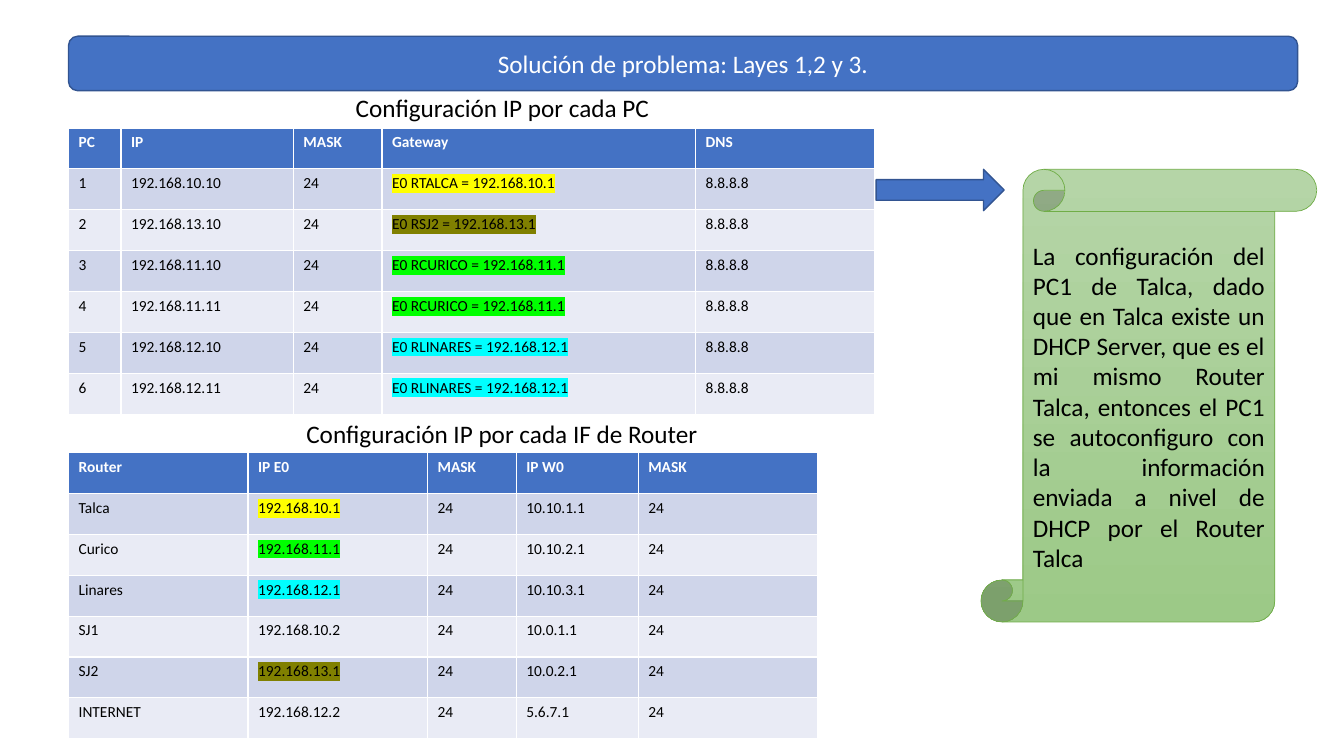
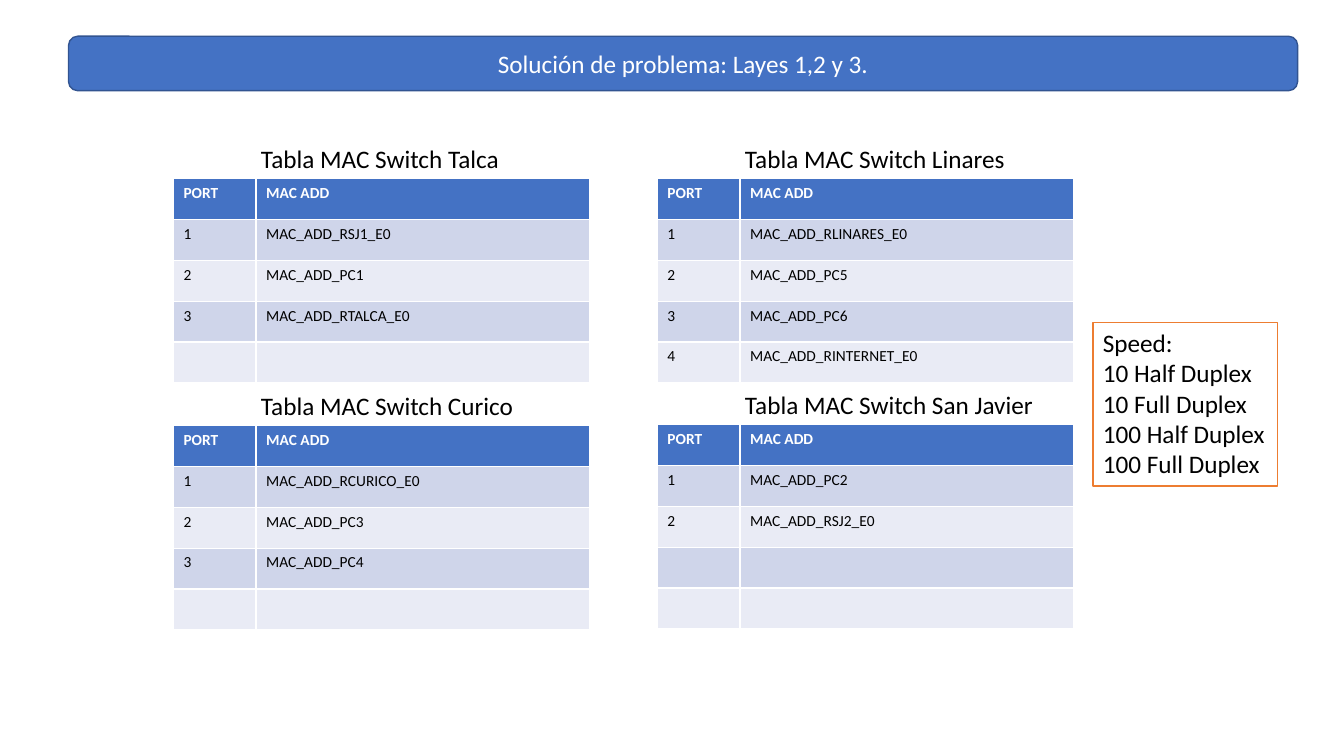
from pptx import Presentation
from pptx.dml.color import RGBColor
from pptx.enum.shapes import MSO_SHAPE
from pptx.enum.text import MSO_ANCHOR, MSO_AUTO_SIZE, PP_ALIGN
from pptx.oxml.ns import qn
from pptx.util import Inches, Pt
from lxml.etree import Element, SubElement

FONT = "Calibri"
BLACK = RGBColor(0x00, 0x00, 0x00)
WHITE = RGBColor(0xFF, 0xFF, 0xFF)
BLUE = RGBColor(0x44, 0x72, 0xC4)
DARK_BLUE = RGBColor(0x32, 0x54, 0x91)
BAND_DARK = RGBColor(0xCF, 0xD5, 0xEA)
BAND_LIGHT = RGBColor(0xE9, 0xEB, 0xF5)
ORANGE = RGBColor(0xED, 0x7D, 0x31)
GREEN = RGBColor(0x70, 0xAD, 0x47)
SCROLL_TOP = RGBColor(0xB5, 0xD5, 0xA7)
SCROLL_BOTTOM = RGBColor(0x9C, 0xC9, 0x87)

# Each router address keeps one highlight colour in every table
HIGHLIGHTS = {
    "192.168.10.1": RGBColor(0xFF, 0xFF, 0x00),
    "192.168.11.1": RGBColor(0x00, 0xFF, 0x00),
    "192.168.12.1": RGBColor(0x00, 0xFF, 0xFF),
    "192.168.13.1": RGBColor(0x80, 0x80, 0x00),
}

TITLE = "Solución de problema: Layes 1,2 y 3."

PC_ROWS = [
    ("PC", "IP", "MASK", "Gateway", "DNS"),
    ("1", "192.168.10.10", "24", "E0 RTALCA = 192.168.10.1", "8.8.8.8"),
    ("2", "192.168.13.10", "24", "E0 RSJ2 = 192.168.13.1", "8.8.8.8"),
    ("3", "192.168.11.10", "24", "E0 RCURICO = 192.168.11.1", "8.8.8.8"),
    ("4", "192.168.11.11", "24", "E0 RCURICO = 192.168.11.1", "8.8.8.8"),
    ("5", "192.168.12.10", "24", "E0 RLINARES = 192.168.12.1", "8.8.8.8"),
    ("6", "192.168.12.11", "24", "E0 RLINARES = 192.168.12.1", "8.8.8.8"),
]
ROUTER_ROWS = [
    ("Router", "IP E0", "MASK", "IP W0", "MASK"),
    ("Talca", "192.168.10.1", "24", "10.10.1.1", "24"),
    ("Curico", "192.168.11.1", "24", "10.10.2.1", "24"),
    ("Linares", "192.168.12.1", "24", "10.10.3.1", "24"),
    ("SJ1", "192.168.10.2", "24", "10.0.1.1", "24"),
    ("SJ2", "192.168.13.1", "24", "10.0.2.1", "24"),
    ("INTERNET", "192.168.12.2", "24", "5.6.7.1", "24"),
]
# caption, caption left, caption top, caption width, table top, columns, rows
ADDRESS_TABLES = [
    ("Configuración IP por cada PC", 3.43, 0.87, 3.15, 1.27,
     (0.52, 1.71, 0.88, 3.11, 1.78), PC_ROWS),
    ("Configuración IP por cada IF de Router", 2.94, 4.1, 4.13, 4.49,
     (1.78, 1.78, 0.88, 1.21, 1.78), ROUTER_ROWS),
]
ADDRESS_LEFT = 0.68
ADDRESS_HEIGHT = 2.84

DHCP_NOTE = (
    "La configuración del PC1 de Talca, dado que en Talca existe un DHCP "
    "Server, que es el mi mismo Router Talca, entonces el PC1 se "
    "autoconfiguro con la información enviada a nivel de DHCP por el "
    "Router Talca"
)

# switch, table left, table top, caption width, addresses by port
SWITCHES = [
    ("Talca", 1.72, 1.77, 2.59,
     ["MAC_ADD_RSJ1_E0", "MAC_ADD_PC1", "MAC_ADD_RTALCA_E0"]),
    ("Curico", 1.72, 4.22, 2.73,
     ["MAC_ADD_RCURICO_E0", "MAC_ADD_PC3", "MAC_ADD_PC4"]),
    ("Linares", 6.52, 1.77, 2.81,
     ["MAC_ADD_RLINARES_E0", "MAC_ADD_PC5", "MAC_ADD_PC6",
      "MAC_ADD_RINTERNET_E0"]),
    ("San Javier", 6.52, 4.21, 3.09, ["MAC_ADD_PC2", "MAC_ADD_RSJ2_E0"]),
]
SWITCH_PORTS = 4
SWITCH_HEIGHT = 2.03
SWITCH_COLUMNS = (0.82, 3.31)
CAPTION_INDENT = 0.77
CAPTION_HEIGHT = 0.4

SPEEDS = ["Speed:", "10 Half Duplex", "10 Full Duplex", "100 Half Duplex",
          "100 Full Duplex"]


def style_text(frame, size, color, align=PP_ALIGN.LEFT, bold=False):
    for para in frame.paragraphs:
        para.alignment = align
        for span in para.runs:
            span.font.name = FONT
            span.font.size = Pt(size)
            span.font.bold = bold
            span.font.color.rgb = color


def highlight(span, color):
    mark = Element(qn("a:highlight"))
    SubElement(mark, qn("a:srgbClr"), val=str(color))
    # The schema wants the highlight right after the text fill
    span.font._element.find(qn("a:solidFill")).addnext(mark)


def add_box(page, kind, left, top, width, height, fill, line, line_width=1):
    box = page.shapes.add_shape(kind, Inches(left), Inches(top),
                                Inches(width), Inches(height))
    box.shadow.inherit = False
    if fill is not None:
        box.fill.solid()
        box.fill.fore_color.rgb = fill
    box.line.color.rgb = line
    box.line.width = Pt(line_width)
    return box


def add_caption(page, text, left, top, width):
    box = page.shapes.add_textbox(Inches(left), Inches(top), Inches(width),
                                  Inches(CAPTION_HEIGHT))
    frame = box.text_frame
    frame.word_wrap = False
    frame.auto_size = MSO_AUTO_SIZE.SHAPE_TO_FIT_TEXT
    frame.text = text
    style_text(frame, 18, BLACK)


def add_grid(page, left, top, height, columns, rows):
    """Add a table with a blue header row and two alternating body bands."""
    table = page.shapes.add_table(
        len(rows), len(columns), Inches(left), Inches(top),
        Inches(sum(columns)), Inches(height)).table
    for column, width in zip(table.columns, columns):
        column.width = Inches(width)
    for r, row in enumerate(rows):
        is_header = r == 0
        band = BLUE if is_header else (BAND_LIGHT, BAND_DARK)[r % 2]
        for c, text in enumerate(row):
            cell = table.cell(r, c)
            cell.fill.solid()
            cell.fill.fore_color.rgb = band
            if not text:
                continue
            cell.text_frame.text = text
            style_text(cell.text_frame, 11, WHITE if is_header else BLACK,
                       bold=is_header)
            for address, color in HIGHLIGHTS.items():
                if text.endswith(address):
                    highlight(cell.text_frame.paragraphs[0].runs[0], color)


def add_page(deck):
    """Add a blank slide with the shared title band."""
    page = deck.slides.add_slide(deck.slide_layouts[6])
    band = add_box(page, MSO_SHAPE.ROUNDED_RECTANGLE, 0.68, 0.36, 12.19, 0.54,
                   BLUE, DARK_BLUE)
    band.text_frame.text = TITLE
    band.text_frame.vertical_anchor = MSO_ANCHOR.MIDDLE
    style_text(band.text_frame, 18, WHITE, PP_ALIGN.CENTER)
    return page


def add_dhcp_scroll(page):
    scroll = add_box(page, MSO_SHAPE.VERTICAL_SCROLL, 9.73, 1.68, 3.33, 4.49,
                     None, GREEN, 0.5)
    scroll.fill.gradient()
    scroll.fill.gradient_angle = 270
    for stop, color in zip(scroll.fill.gradient_stops,
                           (SCROLL_TOP, SCROLL_BOTTOM)):
        stop.color.rgb = color
    frame = scroll.text_frame
    frame.word_wrap = True
    frame.vertical_anchor = MSO_ANCHOR.MIDDLE
    frame.text = DHCP_NOTE
    style_text(frame, 18, BLACK, PP_ALIGN.JUSTIFY)


def build_address_page(deck):
    page = add_page(deck)
    for caption, left, top, width, table_top, columns, rows in ADDRESS_TABLES:
        add_grid(page, ADDRESS_LEFT, table_top, ADDRESS_HEIGHT, columns, rows)
        add_caption(page, caption, left, top, width)
    add_box(page, MSO_SHAPE.RIGHT_ARROW, 8.69, 1.68, 1.27, 0.41,
            BLUE, DARK_BLUE)
    add_dhcp_scroll(page)


def build_switch_page(deck):
    page = add_page(deck)
    for switch, left, top, caption_width, addresses in SWITCHES:
        add_caption(page, f"Tabla MAC Switch {switch}", left + CAPTION_INDENT,
                    top - CAPTION_HEIGHT, caption_width)
        rows = [("PORT", "MAC ADD")]
        rows += [(str(port), address)
                 for port, address in enumerate(addresses, 1)]
        rows += [("", "")] * (SWITCH_PORTS - len(addresses))
        add_grid(page, left, top, SWITCH_HEIGHT, SWITCH_COLUMNS, rows)

    speed_box = add_box(page, MSO_SHAPE.RECTANGLE, 10.84, 3.2, 1.83, 1.62,
                        WHITE, ORANGE)
    frame = speed_box.text_frame
    frame.word_wrap = False
    frame.auto_size = MSO_AUTO_SIZE.SHAPE_TO_FIT_TEXT
    frame.vertical_anchor = MSO_ANCHOR.TOP
    frame.text = "\n".join(SPEEDS)
    style_text(frame, 18, BLACK)


def main():
    deck = Presentation()
    deck.slide_width = Inches(13.33)
    deck.slide_height = Inches(7.5)
    build_address_page(deck)
    build_switch_page(deck)
    deck.save("out.pptx")


if __name__ == "__main__":
    main()
